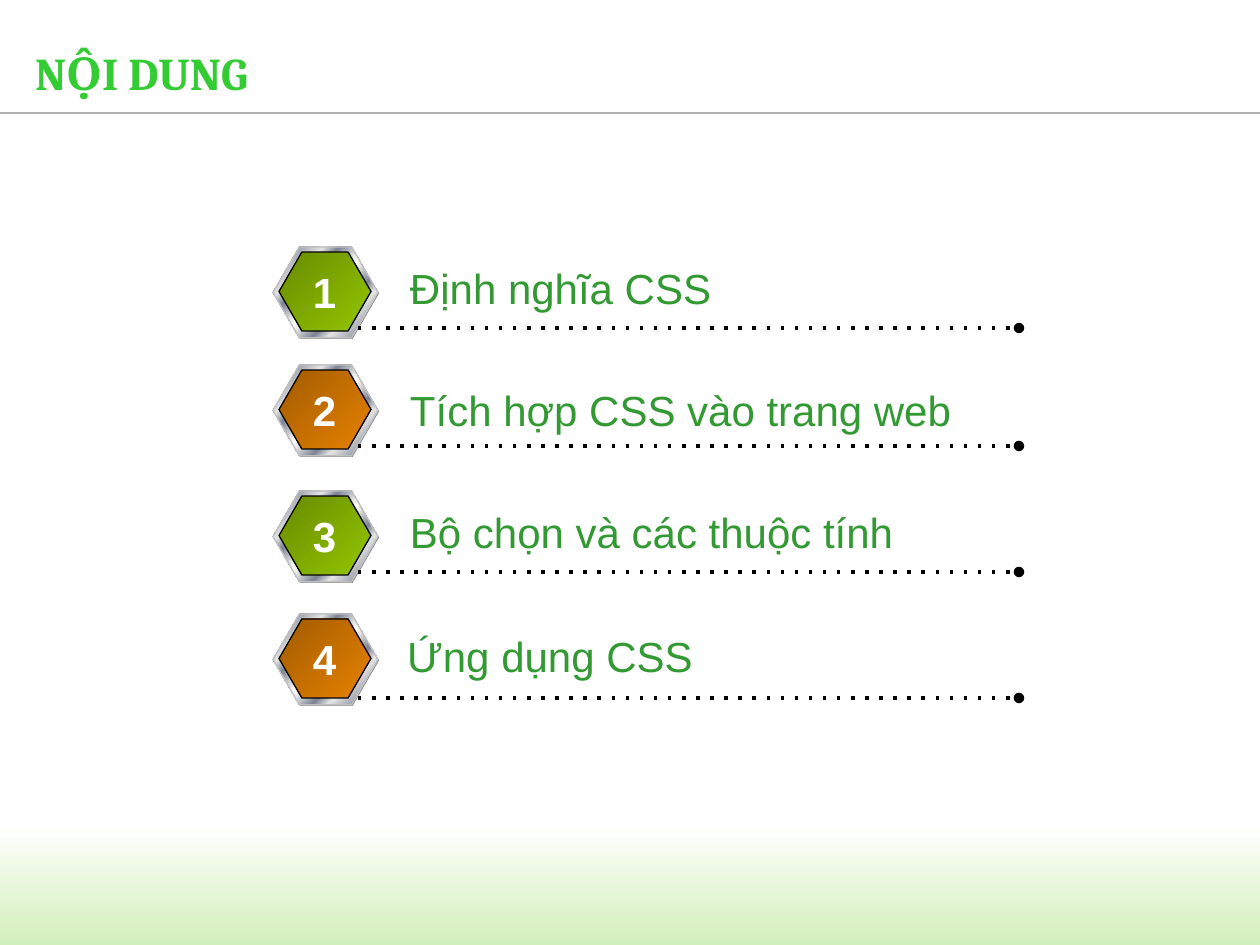
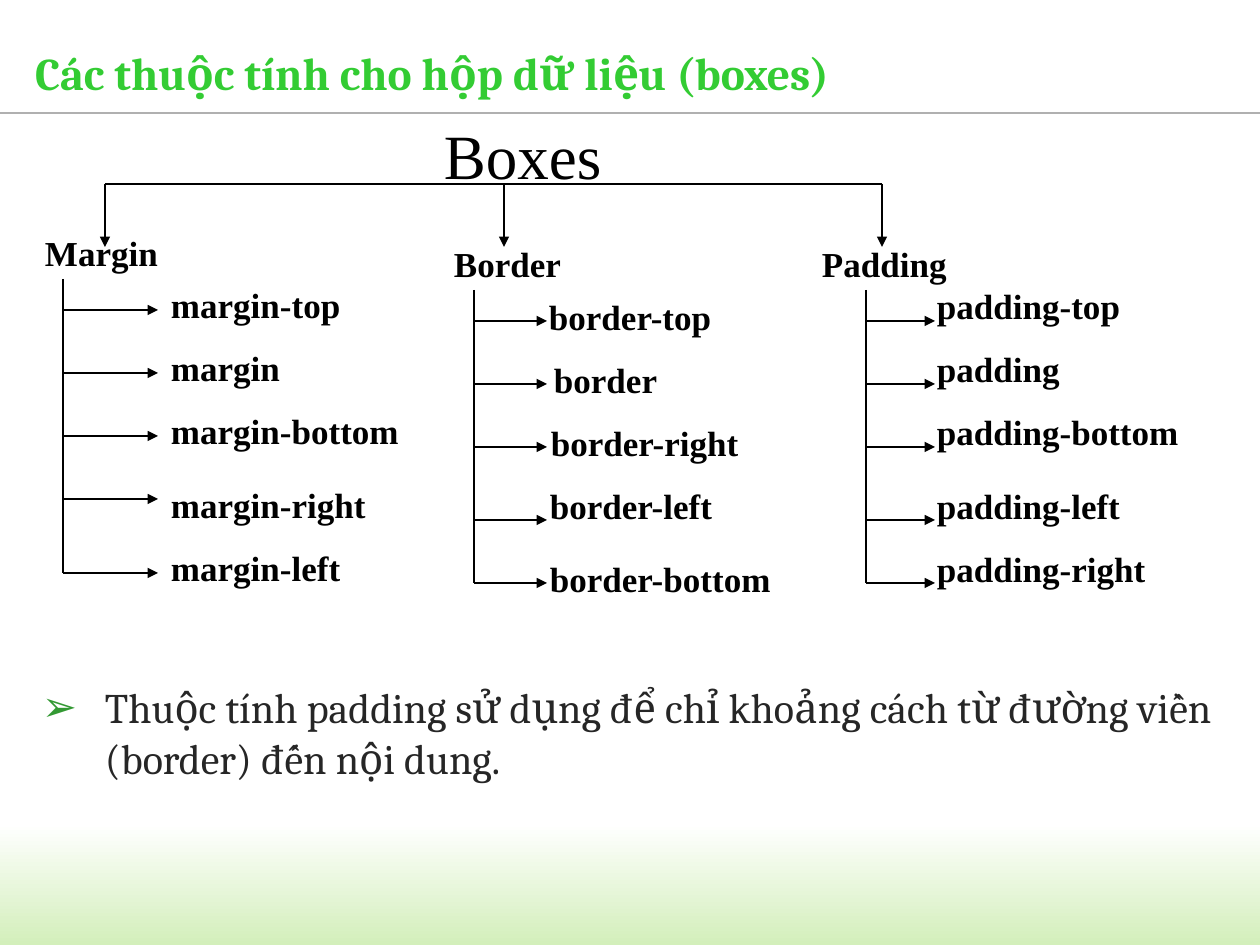
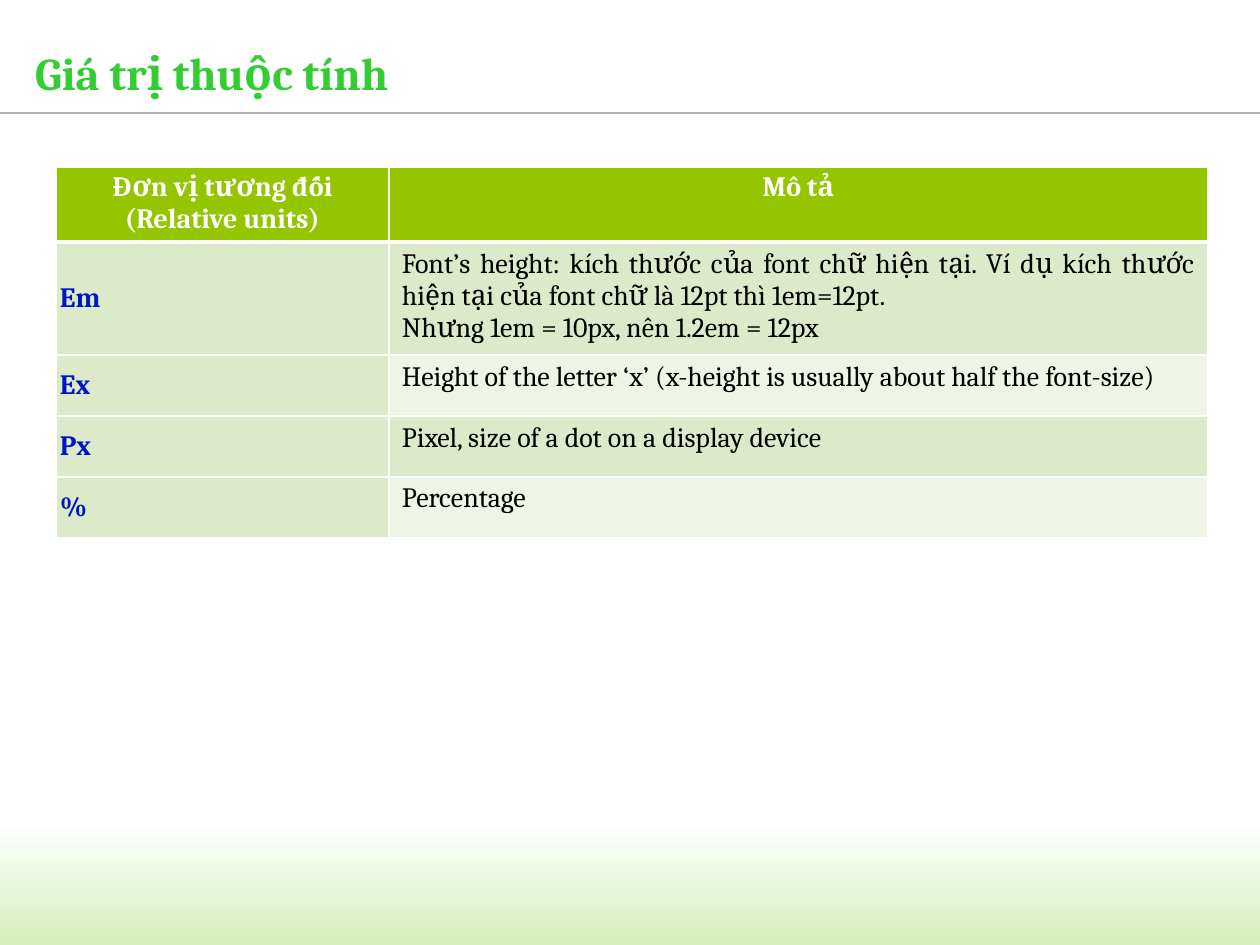
import lxml.etree
import pptx
import pptx.dml.color
import pptx.enum.shapes
import pptx.enum.text
import pptx.oxml.ns
import pptx.util

PX = pptx.util.Inches(1) / 126
SLIDE_WIDTH, SLIDE_HEIGHT = 1260, 945

COLORS = {
    "white": "FFFFFF",
    "black": "000000",
    "title": "33CC33",
    "rule": "B0B0B0",
    "band": "D3EFBB",
    "label": "339933",
    "note": "262626",
    "unit": "0017C0",
    "header": "94C600",
    "row_dark": "DCEACA",
    "row_light": "EEF5E6",
    "shade": "808080",
    "frame": "C0C0C0",
    "silver": "E6E6E6",
    "steel": "7D8496",
    "green_dark": "688B00",
    "green": "94C600",
    "orange_dark": "A25B00",
    "orange": "E68200",
}
METAL = [(0, "silver"), (8, "steel"), (26, "silver"), (34, "steel"),
         (46, "silver"), (50, "white"), (54, "silver"), (66, "steel"),
         (74, "silver"), (92, "steel"), (100, "silver")]
GREEN = [(0, "green_dark"), (100, "green")]
ORANGE = [(0, "orange_dark"), (100, "orange")]

TITLE = {"name": "Cambria", "size": 26, "bold": True, "color": "title"}
AGENDA = {"name": "Arial", "size": 24, "color": "label"}
NUMBER = {"name": "Arial", "size": 24, "bold": True, "color": "white"}
ROOT = {"name": "Times New Roman", "size": 36, "color": "black"}
NODE = {"name": "Times New Roman", "size": 20, "bold": True, "color": "black"}
NOTE = {"name": "Cambria", "size": 24, "color": "note"}
HEADER = {"name": "Cambria", "size": 16, "bold": True, "color": "white"}
UNIT = {**HEADER, "color": "unit"}
BODY = {**HEADER, "bold": False, "color": "black"}

LEFT = pptx.enum.text.PP_ALIGN.LEFT
CENTER = pptx.enum.text.PP_ALIGN.CENTER
JUSTIFY = pptx.enum.text.PP_ALIGN.JUSTIFY
TOP = pptx.enum.text.MSO_ANCHOR.TOP
MIDDLE = pptx.enum.text.MSO_ANCHOR.MIDDLE
RECTANGLE = pptx.enum.shapes.MSO_SHAPE.RECTANGLE
HEXAGON = pptx.enum.shapes.MSO_SHAPE.HEXAGON


def px(length):
    return pptx.util.Emu(round(length * PX))


def rgb(name):
    return pptx.dml.color.RGBColor.from_string(COLORS[name])


def add_xml(parent, tag, **attributes):
    return lxml.etree.SubElement(parent, pptx.oxml.ns.qn(tag), attributes)


def add_color_xml(parent, color):
    add_xml(parent, "a:srgbClr", val=COLORS[color])


def write(text_frame, text, style, align=LEFT):
    """Write one paragraph for each line of text."""
    text_frame.text = text
    for paragraph in text_frame.paragraphs:
        paragraph.alignment = align
        for run in paragraph.runs:
            values = {**style, "size": pptx.util.Pt(style["size"])}
            run.font.color.rgb = rgb(values.pop("color"))
            for name, value in values.items():
                setattr(run.font, name, value)


def set_margins(target, horizontal, vertical):
    for side in ("left", "right"):
        setattr(target, f"margin_{side}", px(horizontal))
    for side in ("top", "bottom"):
        setattr(target, f"margin_{side}", px(vertical))


def add_text(slide, box, text, style, align=LEFT, anchor=TOP, margins=(13, 6)):
    shape = slide.shapes.add_textbox(*map(px, box))
    text_frame = shape.text_frame
    text_frame.word_wrap = True
    text_frame.vertical_anchor = anchor
    set_margins(text_frame, *margins)
    write(text_frame, text, style, align)
    return shape


def add_shape(slide, kind, box, fill, angle=0, line=None):
    """Fill with a colour name, or with a list of gradient stops."""
    shape = slide.shapes.add_shape(kind, *map(px, box))
    shape.shadow.inherit = False
    if isinstance(fill, str):
        shape.fill.solid()
        shape.fill.fore_color.rgb = rgb(fill)
    else:
        shape.fill.gradient()
        shape.fill.gradient_angle = 360 - angle
        stops = next(shape.element.iter(pptx.oxml.ns.qn("a:gsLst")))
        for stop in list(stops):
            stops.remove(stop)
        for percent, color in fill:
            add_color_xml(add_xml(stops, "a:gs", pos=str(percent * 1000)), color)
    if line:
        shape.line.color.rgb = rgb(line)
        shape.line.width = pptx.util.Pt(0.75)
    else:
        shape.line.fill.background()
    return shape


def add_line(slide, start, end, color="black", width=0.75, dash=None, tip=None):
    connector = slide.shapes.add_connector(
        pptx.enum.shapes.MSO_CONNECTOR.STRAIGHT, *map(px, start + end))
    connector.line.color.rgb = rgb(color)
    connector.line.width = pptx.util.Pt(width)
    properties = connector.element.spPr
    outline = properties.find(pptx.oxml.ns.qn("a:ln"))
    if dash:
        add_xml(outline, "a:prstDash", val=dash)
    if tip:
        add_xml(outline, "a:tailEnd", type=tip)
    add_xml(properties, "a:effectLst")


def add_base_slide(presentation, title):
    """Add a slide with the bottom band, the rule and the title."""
    slide = presentation.slides.add_slide(presentation.slide_layouts[6])
    add_shape(slide, RECTANGLE, (-4, 823, SLIDE_WIDTH + 4, SLIDE_HEIGHT - 823),
              [(0, "white"), (100, "band")], angle=90)
    add_line(slide, (0, 113), (SLIDE_WIDTH, 113), "rule")
    add_text(slide, (35, 32, 1181, 81), title, TITLE, anchor=MIDDLE, margins=(0, 0))
    return slide


def add_agenda_item(slide, left, top, number, label, label_offset, line_drop):
    label_x, label_y = label_offset
    hexagons = [
        ((1, 1, 105, 91), "shade", None),
        ((0, 0, 105, 91), METAL, "frame"),
        ((6, 5, 92, 79), GREEN if number % 2 else ORANGE, "black"),
    ]
    for (x, y, width, height), fill, line in hexagons:
        hexagon = add_shape(slide, HEXAGON, (left + x, top + y, width, height),
                            fill, angle=45, line=line)
        hexagon.adjustments[0] = 0.29
    add_line(slide, (left + 85, top + line_drop), (left + 746, top + line_drop),
             width=2, dash="dot", tip="oval")
    add_text(slide, (left + label_x, top + label_y, 600, 63), label, AGENDA)
    add_text(slide, (left + 27, top + 14, 49, 63), str(number), NUMBER, CENTER)


def build_agenda(presentation):
    slide = add_base_slide(presentation, "NỘI DUNG")
    items = [
        (247, "Định nghĩa CSS", (124, 10), 81),
        (365, "Tích hợp CSS vào trang web", (124, 14), 81),
        (491, "Bộ chọn và các thuộc tính", (124, 10), 81),
        (614, "Ứng dụng CSS", (121, 11), 84),
    ]
    for number, (top, *item) in enumerate(items, 1):
        add_agenda_item(slide, 273, top, number, *item)


def add_property_tree(slide, left, top, heading, spine_x, arrow_length,
                      arrow_drops, labels):
    """Hang labelled arrows from a spine; labels are (text, x, y) offsets."""
    spine, spine_top = left + spine_x, top + 53
    add_text(slide, (left, top, 180, 63), heading, NODE)
    add_line(slide, (spine, spine_top), (spine, spine_top + arrow_drops[-1]))
    for drop, (text, x, y) in zip(arrow_drops, labels):
        add_line(slide, (spine, spine_top + drop),
                 (spine + arrow_length, spine_top + drop), tip="triangle")
        add_text(slide, (spine + x, spine_top + y, 300, 63), text, NODE)


def build_boxes(presentation):
    slide = add_base_slide(presentation, "Các thuộc tính cho hộp dữ liệu (boxes)")
    add_property_tree(slide, 32, 226, "Margin", 31, 95, (31, 94, 157, 220, 294), [
        ("margin-top", 95, -1), ("margin", 95, 62), ("margin-bottom", 95, 125),
        ("margin-right", 95, 199), ("margin-left", 95, 262)])
    late_drops = (31, 94, 157, 230, 293)
    add_property_tree(slide, 441, 237, "Border", 33, 73, late_drops, [
        ("border-top", 62, 0), ("border", 67, 63), ("border-right", 64, 126),
        ("border-left", 63, 189), ("border-bottom", 63, 262)])
    add_property_tree(slide, 809, 237, "Padding", 57, 69, late_drops, [
        ("padding-top", 58, -11), ("padding", 58, 52), ("padding-bottom", 58, 115),
        ("padding-left", 58, 189), ("padding-right", 58, 252)])

    branches, branch_top = (105, 504, 882), 184
    add_text(slide, (431, 111, 199, 88), "Boxes", ROOT)
    add_line(slide, (branches[0], branch_top), (branches[-1], branch_top))
    for x in branches:
        add_line(slide, (x, branch_top), (x, branch_top + 63), tip="triangle")

    note = add_text(
        slide, (42, 682, 1182, 176),
        "Thuộc tính padding sử dụng để chỉ khoảng cách từ đường viền "
        "(border) đến nội dung.", NOTE, margins=(0, 0))
    properties = note.text_frame.paragraphs[0]._p.get_or_add_pPr()
    properties.set("marL", str(px(63)))
    properties.set("indent", str(px(-63)))
    add_color_xml(add_xml(properties, "a:buClr"), "label")
    add_xml(properties, "a:buFont", typeface="Arial")
    add_xml(properties, "a:buChar", char="➢")


def format_cell(cell, text, style, fill, align, anchor, margins, bottom=1):
    write(cell.text_frame, text, style, align)
    cell.vertical_anchor = anchor
    set_margins(cell, *margins)
    properties = cell._tc.get_or_add_tcPr()
    for side, width in (("L", 1), ("R", 1), ("T", 1), ("B", bottom)):
        border = add_xml(properties, f"a:ln{side}", w=str(pptx.util.Pt(width)))
        add_color_xml(add_xml(border, "a:solidFill"), "white")
    cell.fill.solid()
    cell.fill.fore_color.rgb = rgb(fill)


def add_units_table(slide, left, top, column_widths, row_heights, headers, units):
    box = (left, top, sum(column_widths), sum(row_heights))
    table = slide.shapes.add_table(
        len(row_heights), len(column_widths), *map(px, box)).table
    for column, width in zip(table.columns, column_widths):
        column.width = px(width)
    for row, height in zip(table.rows, row_heights):
        row.height = px(height)
    for index, text in enumerate(headers):
        format_cell(table.cell(0, index), text, HEADER, "header", CENTER, TOP,
                    (4, 4), bottom=3)
    for index, (unit, description) in enumerate(units, 1):
        format_cell(table.cell(index, 0), unit, UNIT, "row_dark", LEFT, MIDDLE, (4, 4))
        format_cell(table.cell(index, 1), description, BODY,
                    "row_dark" if index % 2 else "row_light", JUSTIFY, TOP, (13, 6))


def build_units(presentation):
    slide = add_base_slide(presentation, "Giá trị thuộc tính")
    units = [
        ("Em", "Font’s height: kích thước của font chữ hiện tại. Ví dụ kích thước "
               "hiện tại của font chữ là 12pt thì 1em=12pt.\n"
               "Nhưng 1em = 10px, nên 1.2em = 12px"),
        ("Ex", "Height of the letter ‘x’ (x-height is usually about half the font-size)"),
        ("Px", "Pixel, size of a dot on a display device"),
        ("%", "Percentage"),
    ]
    add_units_table(slide, 56, 167, (333, 819), (70, 109, 61, 61, 61),
                    ("Đơn vị tương đối (Relative units)", "Mô tả"), units)


def main():
    presentation = pptx.Presentation()
    presentation.slide_width = px(SLIDE_WIDTH)
    presentation.slide_height = px(SLIDE_HEIGHT)
    for build in (build_agenda, build_boxes, build_units):
        build(presentation)
    presentation.save("out.pptx")


if __name__ == "__main__":
    main()
